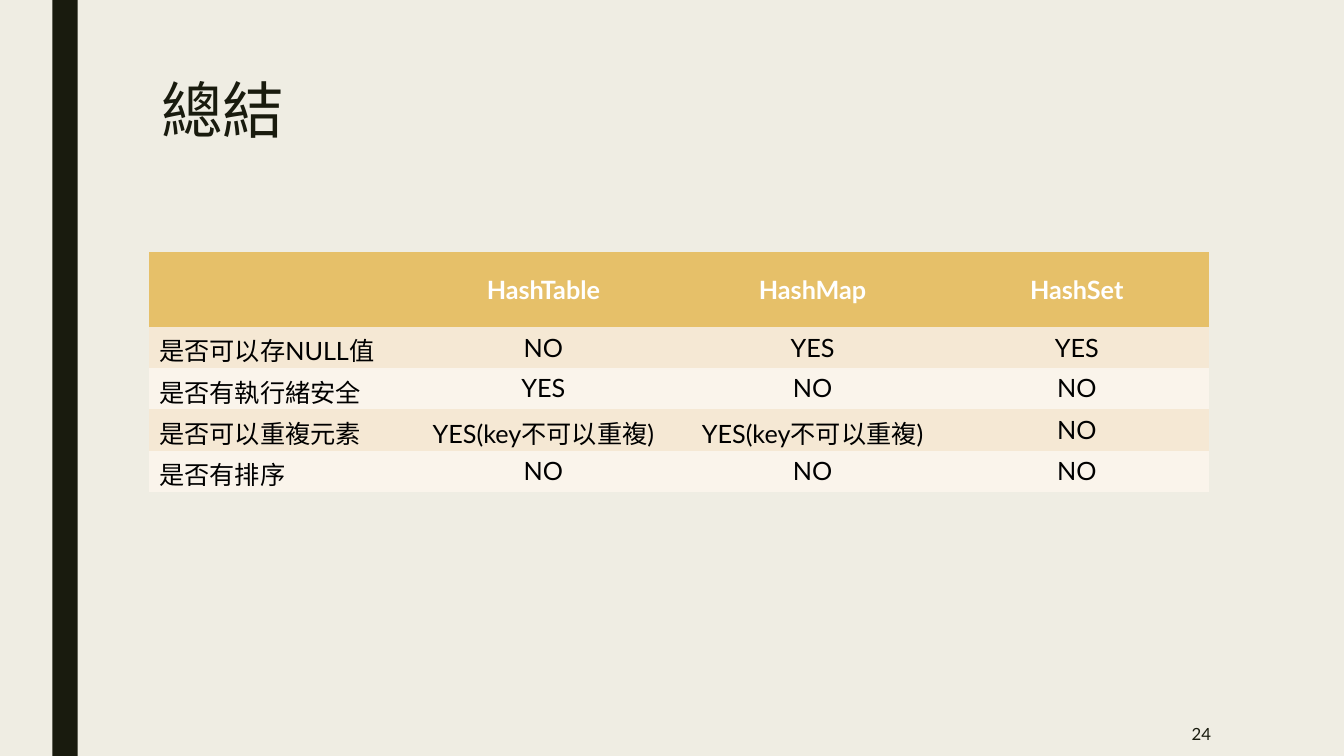
from pptx import Presentation
from pptx.dml.color import RGBColor
from pptx.enum.shapes import MSO_SHAPE
from pptx.enum.text import MSO_ANCHOR, PP_ALIGN
from pptx.oxml.ns import qn
from pptx.util import Inches, Pt

LEFT, CENTER, RIGHT = PP_ALIGN.LEFT, PP_ALIGN.CENTER, PP_ALIGN.RIGHT
TOP, MIDDLE = MSO_ANCHOR.TOP, MSO_ANCHOR.MIDDLE

# Content
TITLE = "總結"
PAGE_NUMBER = "24"
ROWS = [
    ("", "HashTable", "HashMap", "HashSet"),
    ("是否可以存NULL值", "NO", "YES", "YES"),
    ("是否有執行緒安全", "YES", "NO", "NO"),
    ("是否可以重複元素", "YES(key不可以重複)", "YES(key不可以重複)", "NO"),
    ("是否有排序", "NO", "NO", "NO"),
]

# Style
FONT = "Lato"
COLORS = {
    "background": "EFEDE3",
    "dark": "191B0E",
    "header": "E6C069",
    "odd": "F5E8D4",
    "even": "FAF4EB",
    "header text": "FFFFFF",
    "body text": "000000",
}
NO_STYLE = "{2D5ABB26-0587-4C30-8999-92F81FD0307C}"
COLUMN_WIDTHS = (2.55, 2.72, 2.62, 2.62)
HEADER_HEIGHT, ROW_HEIGHT = 0.74, 0.41


def color(name):
    return RGBColor.from_string(COLORS[name])


def write(paragraph, text, size, color_name, alignment=LEFT, bold=False):
    paragraph.alignment = alignment
    run = paragraph.add_run()
    run.text = text
    run.font.name = FONT
    run.font.size = Pt(size)
    run.font.bold = bold
    run.font.color.rgb = color(color_name)


def add_text(slide, box, text, size, alignment=LEFT, anchor=TOP):
    frame = slide.shapes.add_textbox(*map(Inches, box)).text_frame
    frame.word_wrap = True
    frame.vertical_anchor = anchor
    paragraph = frame.paragraphs[0]
    write(paragraph, text, size, "dark", alignment)
    return paragraph


def add_summary_table(slide):
    height = HEADER_HEIGHT + ROW_HEIGHT * (len(ROWS) - 1)
    table = slide.shapes.add_table(
        len(ROWS), len(COLUMN_WIDTHS), Inches(1.48), Inches(2.5),
        Inches(sum(COLUMN_WIDTHS)), Inches(height)).table
    table._tbl.tblPr.find(qn("a:tableStyleId")).text = NO_STYLE
    for column, width in zip(table.columns, COLUMN_WIDTHS):
        column.width = Inches(width)
    for i, values in enumerate(ROWS):
        is_header = i == 0
        table.rows[i].height = Inches(HEADER_HEIGHT if is_header else ROW_HEIGHT)
        fill = "header" if is_header else "odd" if i % 2 else "even"
        for j, value in enumerate(values):
            cell = table.cell(i, j)
            cell.fill.solid()
            cell.fill.fore_color.rgb = color(fill)
            # The header and the first row of answers are centred vertically
            cell.vertical_anchor = MIDDLE if i < 2 and j > 0 else TOP
            if value:
                write(cell.text_frame.paragraphs[0], value, 18,
                      "header text" if is_header else "body text",
                      CENTER if j else LEFT, is_header)


def main():
    presentation = Presentation()
    presentation.slide_width = Inches(13.33)
    presentation.slide_height = Inches(7.5)
    slide = presentation.slides.add_slide(presentation.slide_layouts[6])
    slide.background.fill.solid()
    slide.background.fill.fore_color.rgb = color("background")

    # Side bar
    bar = slide.shapes.add_shape(
        MSO_SHAPE.RECTANGLE, Inches(0.52), 0, Inches(0.25), Inches(7.5))
    bar.shadow.inherit = False
    bar.fill.solid()
    bar.fill.fore_color.rgb = color("dark")
    bar.line.fill.background()

    # Title, table and page number
    title = add_text(slide, (1.5, 0.75, 10.5, 1.62), TITLE, 44)
    title.line_spacing = 0.89
    add_summary_table(slide)
    add_text(slide, (10.36, 7.06, 1.75, 0.44), PAGE_NUMBER, 12, RIGHT, MIDDLE)

    presentation.save("out.pptx")


if __name__ == "__main__":
    main()
